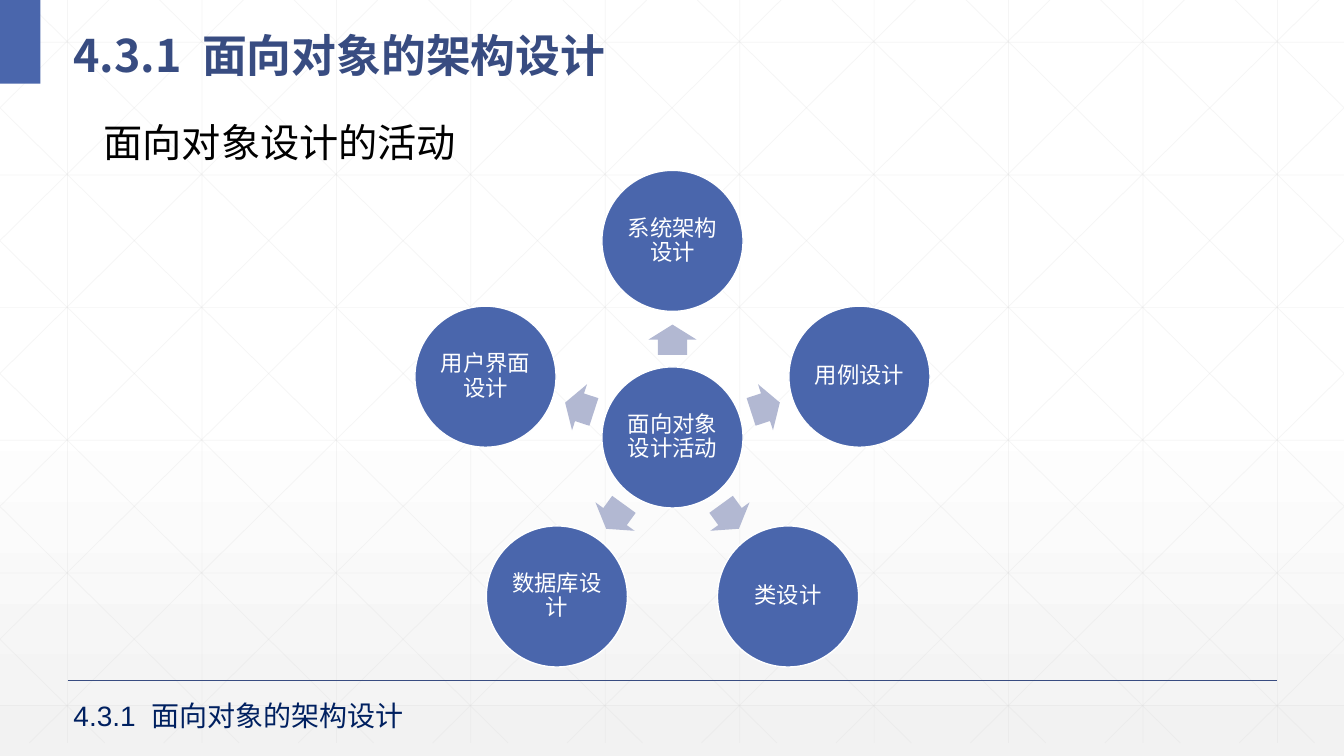
from math import cos, radians, sin

from lxml.etree import SubElement
from pptx import Presentation
from pptx.dml.color import RGBColor
from pptx.enum.shapes import MSO_CONNECTOR, MSO_SHAPE
from pptx.enum.text import MSO_ANCHOR, MSO_AUTO_SIZE, PP_ALIGN
from pptx.oxml.ns import qn
from pptx.util import Inches, Pt

WIDTH, HEIGHT = 13.33, 7.5
BLUE, NAVY, WHITE = "4A66AC", "384C81", "FFFFFF"
CJK_FONT = "Noto Sans CJK SC"


def color(value):
    return RGBColor.from_string(value)


class SlideBuilder:
    def __init__(self, slide, font="Arial"):
        self.slide = slide
        self.font = font

    def background(self, start, end, position):
        fill = self.slide.background.fill
        fill.gradient()
        fill.gradient_angle = 270
        first, last = fill.gradient_stops
        first.position, first.color.rgb = position, color(start)
        last.position, last.color.rgb = 1, color(end)

    def line(self, x1, y1, x2, y2, line_color, width, opacity=None):
        connector = self.slide.shapes.add_connector(
            MSO_CONNECTOR.STRAIGHT, Inches(x1), Inches(y1), Inches(x2), Inches(y2))
        connector.line.color.rgb = color(line_color)
        connector.line.width = Pt(width)
        properties = connector._element.spPr
        if opacity is not None:
            solid = properties.find(".//" + qn("a:srgbClr"))
            SubElement(solid, qn("a:alpha"), val=str(opacity * 1000))
        SubElement(properties, qn("a:effectLst"))

    def shape(self, kind, x, y, width, height, fill, outline=None):
        shape = self.slide.shapes.add_shape(
            kind, Inches(x), Inches(y), Inches(width), Inches(height))
        shape.shadow.inherit = False
        shape.fill.solid()
        shape.fill.fore_color.rgb = color(fill)
        if outline:
            shape.line.color.rgb = color(outline)
            shape.line.width = Pt(1)
        else:
            shape.line.fill.background()
        return shape

    def run(self, paragraph, text, size, text_color, font=None, bold=False, spacing=0):
        run = paragraph.add_run()
        run.text = text
        run.font.size = Pt(size)
        run.font.bold = bold
        run.font.color.rgb = color(text_color)
        run.font.name = font or self.font
        properties = run._r.get_or_add_rPr()
        SubElement(properties, qn("a:ea"), typeface=font or self.font)
        if spacing:
            properties.set("spc", str(int(spacing * 100)))

    def text_box(self, x, y, width, height, wrap=True, grow=True):
        box = self.slide.shapes.add_textbox(
            Inches(x), Inches(y), Inches(width), Inches(height))
        frame = box.text_frame
        frame.word_wrap = wrap
        frame.auto_size = MSO_AUTO_SIZE.SHAPE_TO_FIT_TEXT if grow else MSO_AUTO_SIZE.NONE
        return frame

    def section_name(self, paragraph, size, text_color, gap, **style):
        self.run(paragraph, "4.3.1", size, text_color, **style)
        self.run(paragraph, " ", size, text_color, spacing=gap, **style)
        self.run(paragraph, "面向对象的架构设计", size, text_color, **style)

    def circle(self, center_x, center_y, diameter, label):
        shape = self.shape(MSO_SHAPE.OVAL, center_x - diameter / 2,
                           center_y - diameter / 2, diameter, diameter, BLUE, WHITE)
        frame = shape.text_frame
        frame.word_wrap = True
        frame.vertical_anchor = MSO_ANCHOR.MIDDLE
        frame.margin_left = frame.margin_right = Inches(0.02)
        frame.margin_top = frame.margin_bottom = Inches(0.02)
        paragraph = frame.paragraphs[0]
        paragraph.alignment = PP_ALIGN.CENTER
        paragraph.line_spacing = 0.9
        self.run(paragraph, label, 16, WHITE)

    def arrow(self, center_x, center_y, rotation):
        width, height = 0.3, 0.48
        shape = self.shape(MSO_SHAPE.RIGHT_ARROW, center_x - width / 2,
                           center_y - height / 2, width, height, "B2B8D2")
        shape.adjustments[0] = 0.6
        shape.adjustments[1] = 0.5
        shape.rotation = rotation % 360


def draw_grid(builder):
    step, bottom, run_length = 4 / 3, 7.37, 7.455
    style = ("D9D9D9", 0.5, 25)
    for column in range(10):
        x = 0.67 + column * step
        builder.line(x, 0, x, bottom, *style)
    for row in range(6):
        y = 0.42 + row * 1.316
        builder.line(0, y, WIDTH, y, *style)
    # Diagonals, clipped at the slide edges and mirrored
    for index in range(-5, 10):
        start = 0.25 + index * step
        left, right = max(start, 0), min(start + run_length, WIDTH)
        top, end = ((x - start) * bottom / run_length for x in (left, right))
        builder.line(left, top, right, end, *style)
        builder.line(WIDTH - left, top, WIDTH - right, end, *style)


def draw_activities(builder):
    center_x, center_y, diameter = 6.67, 4.34, 1.4
    activities = ["系统架构设计", "用例设计", "类设计", "数据库设计", "用户界面设计"]
    builder.circle(center_x, center_y, diameter, "面向对象设计活动")
    for index, label in enumerate(activities):
        angle = index * 360 / len(activities)
        across, up = sin(radians(angle)), cos(radians(angle))
        builder.arrow(center_x + 0.97 * across, center_y - 0.97 * up, angle - 90)
        builder.circle(center_x + 1.95 * across, center_y - 1.95 * up, diameter, label)


def main():
    presentation = Presentation()
    presentation.slide_width, presentation.slide_height = Inches(WIDTH), Inches(HEIGHT)
    builder = SlideBuilder(presentation.slides.add_slide(presentation.slide_layouts[6]))

    # Backdrop
    builder.background(WHITE, "F2F2F2", 0.53)
    draw_grid(builder)
    builder.line(0.67, 6.75, 12.67, 6.75, NAVY, 1)
    builder.shape(MSO_SHAPE.RECTANGLE, 0, 0, 0.4, 0.83, BLUE)

    # Title
    title = builder.text_box(0.63, 0.1, 12.42, 0.73, grow=False)
    title.vertical_anchor = MSO_ANCHOR.MIDDLE
    title.paragraphs[0].line_spacing = 1.3
    builder.section_name(title.paragraphs[0], 32, NAVY, 7, font=CJK_FONT, bold=True)

    # Activity diagram
    draw_activities(builder)

    # Subtitle and footer
    subtitle = builder.text_box(0.93, 1.12, 3.7, 0.56, wrap=False)
    builder.run(subtitle.paragraphs[0], "面向对象设计的活动", 28, "000000")
    footer = builder.text_box(0.63, 6.88, 4.69, 0.44)
    builder.section_name(footer.paragraphs[0], 20, "002060", 5.5)

    presentation.save("out.pptx")


if __name__ == "__main__":
    main()
